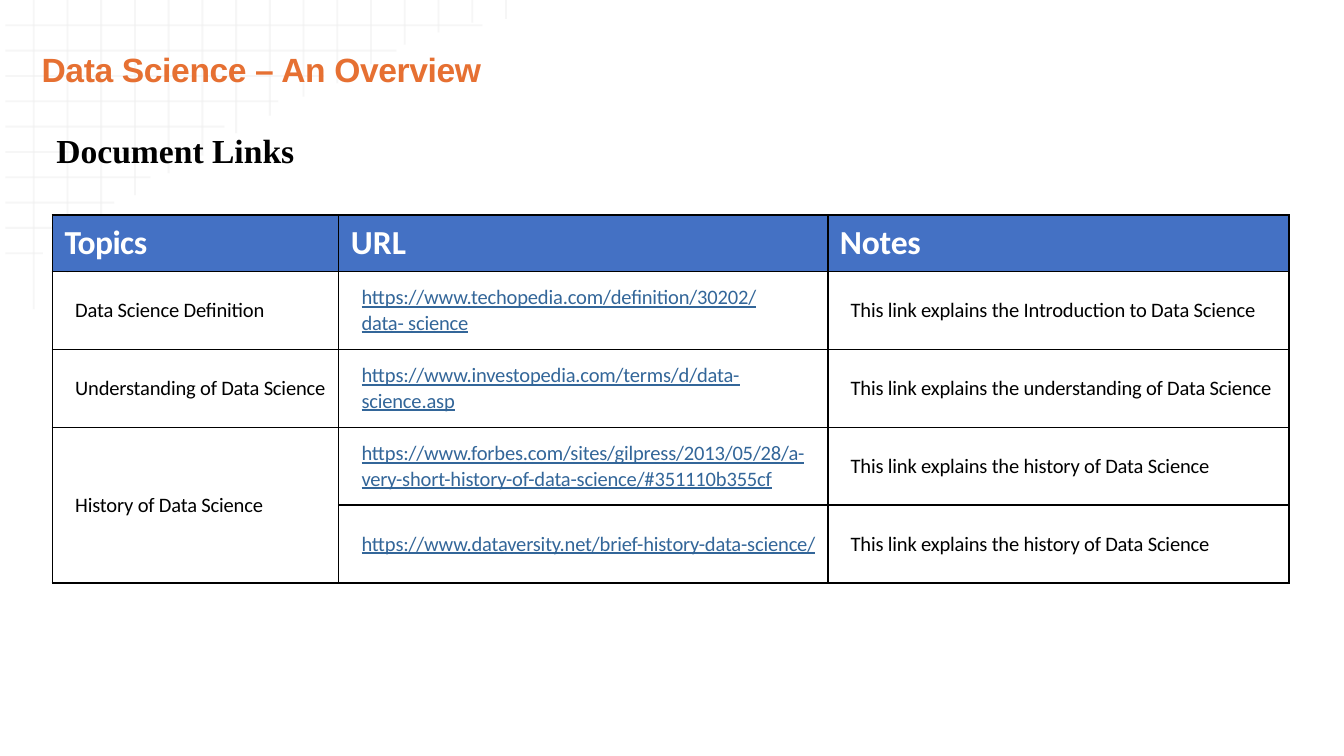
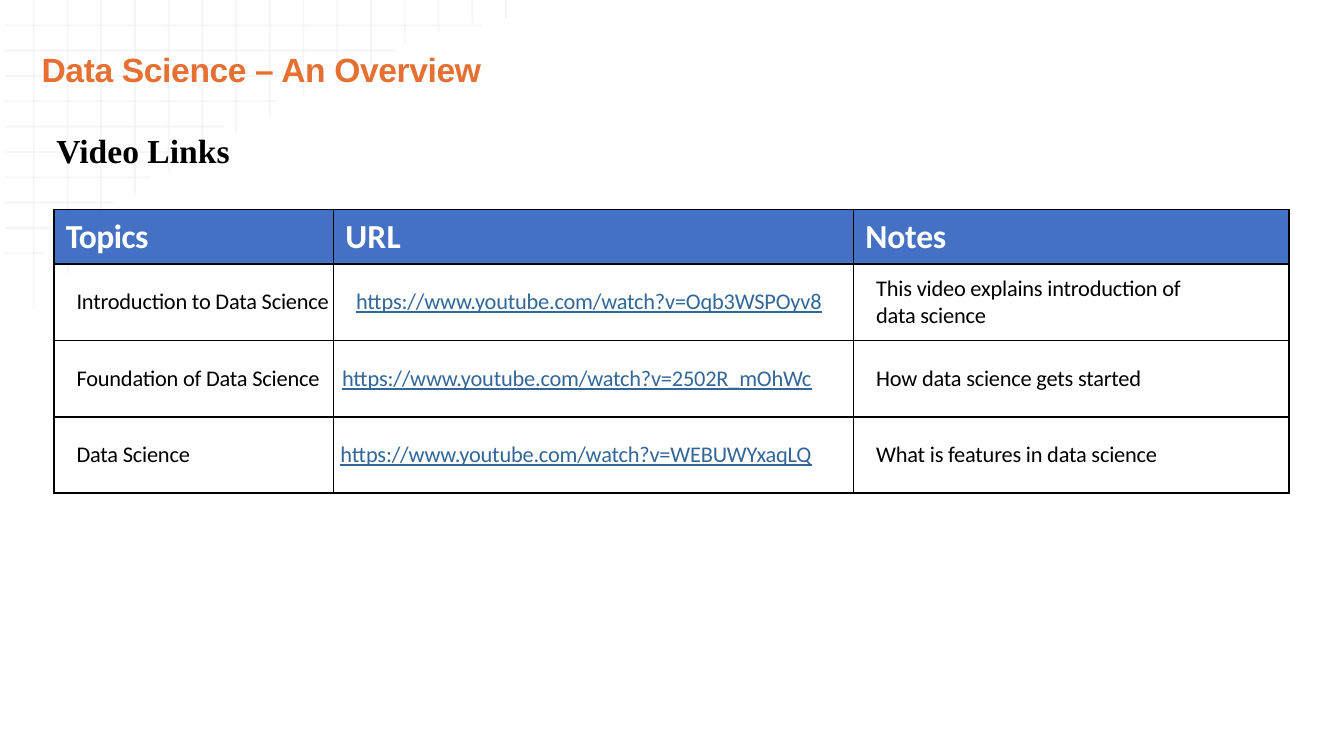
from lxml.etree import SubElement
from pptx import Presentation
from pptx.dml.color import RGBColor
from pptx.enum.shapes import MSO_CONNECTOR as Connector
from pptx.enum.text import MSO_ANCHOR as Anchor, PP_ALIGN as Align
from pptx.oxml.ns import qn
from pptx.util import Inches, Pt

ORANGE, BLUE, LINK = "E67032", "4471C4", "336699"
BLACK, WHITE, GRID = "000000", "FFFFFF", "EFEFEF"


def paint(color_format, value, alpha=None):
    color_format.rgb = RGBColor.from_string(value)
    return value


def write(frame, text, color, spacing, align=Align.LEFT, **font):
    for number, words in enumerate(text.split("\n")):
        para = frame.add_paragraph() if number else frame.paragraphs[0]
        para.alignment = align
        span = para.add_run()
        span.text = words
        for name, value in font.items():
            setattr(span.font, name, value)
        paint(span.font.color, color)
        span.font._element.set("spc", str(spacing))


deck = Presentation()
deck.slide_width, deck.slide_height = Inches(10), Inches(5.625)
WIDE, TALL = deck.slide_width / 100, deck.slide_height / 100

COLUMN, ROW = 2.51, 3.35
across_ends = [35.9, 29.5, 24.1, 20.7, 16.7, 13.7, 11.2, 8.5, 6.2, 3.2]
down_ends = [40.9, 36.1, 29.5, 25.8, 22.9, 20.6, 17.6, 15.3,
             12.8, 11, 8.5, 5.9, 4.3, 3, 2.5]
grid_lines = [(0.4, ROW * n, end, ROW * n) for n, end in enumerate(across_ends, 1)]
grid_lines += [(COLUMN * n, end, COLUMN * n, 0) for n, end in enumerate(down_ends, 1)]

LEFT, RIGHT = Align.LEFT, Align.RIGHT
header = ["Topics", "URL", "Notes"]
pages = [
    dict(
        heading="Document Links", heading_width=18.5,
        left=3.9, top=28.44, columns=[21.3, 36.4, 34.3], rows=[7.47] + [10.31] * 4,
        size=11, merges=[(3, 4, 0)], right_margins={(1, 1): 4}, aligned_right=[],
        body=[
            ["Data Science Definition",
             "https://www.techopedia.com/definition/30202/data- science",
             "This link explains the Introduction to Data Science"],
            ["Understanding of Data Science",
             "https://www.investopedia.com/terms/d/data-\nscience.asp",
             "This link explains the understanding of Data Science"],
            ["History of Data Science",
             "https://www.forbes.com/sites/gilpress/2013/05/28/a- "
             "very-short-history-of-data-science/#351110b355cf",
             "This link explains the history of Data Science"],
            ["",
             "https://www.dataversity.net/brief-history-data-science/",
             "This link explains the history of Data Science"],
        ],
    ),
    dict(
        heading="Video Links", heading_width=13.5,
        left=4, top=27.73, columns=[20.8, 38.7, 32.4], rows=[7.2] + [10.1] * 3,
        size=12, merges=[], right_margins={(1, 2): 6, (2, 1): 3.1, (3, 1): 3.1},
        aligned_right=[(2, 1), (3, 1)],
        body=[
            ["Introduction to Data Science",
             "https://www.youtube.com/watch?v=Oqb3WSPOyv8",
             "This video explains introduction of data science"],
            ["Foundation of Data Science",
             "https://www.youtube.com/watch?v=2502R_mOhWc",
             "How data science gets started"],
            ["Data Science",
             "https://www.youtube.com/watch?v=WEBUWYxaqLQ",
             "What is features in data science"],
        ],
    ),
]

for content in pages:
    page = deck.slides.add_slide(deck.slide_layouts[6])
    paint(page.background.fill.solid() or page.background.fill.fore_color, WHITE)

    for x1, y1, x2, y2 in grid_lines:
        line = page.shapes.add_connector(
            Connector.STRAIGHT, int(x1 * WIDE), int(y1 * TALL), int(x2 * WIDE), int(y2 * TALL))
        line.line.width = Pt(1)
        paint(line.line.color, GRID)
        properties = line._element.spPr
        SubElement(properties.find(".//" + qn("a:srgbClr")), qn("a:alpha"), val="54000")
        SubElement(properties, qn("a:effectLst"))

    for text, left, top, width, height, anchor, font, color, spacing in [
        ("Data Science – An Overview", 3, 6.04, 34, 5.87, Anchor.MIDDLE, "Arial", ORANGE, -20),
        (content["heading"], 4.1, 16.89, content["heading_width"], 5.51,
         Anchor.TOP, "Times New Roman", BLACK, 0),
    ]:
        box = page.shapes.add_textbox(
            int(left * WIDE), int(top * TALL), int(width * WIDE), int(height * TALL))
        frame = box.text_frame
        layout = dict(word_wrap=True, vertical_anchor=anchor, margin_left=Inches(0.01),
                      margin_right=0, margin_top=Inches(0.02), margin_bottom=0)
        for name, value in layout.items():
            setattr(frame, name, value)
        write(frame, text, color, spacing, name=font, size=Pt(18), bold=True)

    columns, rows = content["columns"], content["rows"]
    holder = page.shapes.add_table(
        len(rows), len(columns), int(content["left"] * WIDE), int(content["top"] * TALL),
        int(sum(columns) * WIDE), int(sum(rows) * TALL))
    holder._element.find(".//" + qn("a:tableStyleId")).text = "{2D5ABB26-0587-4C30-8999-92F81FD0307C}"
    table = holder.table
    table.horz_banding = False
    for column, width in zip(table.columns, columns):
        column.width = int(width * WIDE)
    for row, height in zip(table.rows, rows):
        row.height = int(height * TALL)
    for first, last, column in content["merges"]:
        table.cell(first, column).merge(table.cell(last, column))

    for r, texts in enumerate([header] + content["body"]):
        for c, text in enumerate(texts):
            cell = table.cell(r, c)
            place = (r, c)
            flush = place in content["aligned_right"]
            indent = 0 if flush else 1.7 if r else 0.9
            layout = dict(vertical_anchor=Anchor.MIDDLE, margin_left=int(indent * WIDE),
                          margin_right=int(content["right_margins"].get(place, 0) * WIDE),
                          margin_top=0, margin_bottom=0)
            for name, value in layout.items():
                setattr(cell, name, value)
            for side in ("lnL", "lnR", "lnT", "lnB"):
                border = SubElement(cell._tc.get_or_add_tcPr(), qn("a:" + side), w=str(Pt(1)))
                SubElement(SubElement(border, qn("a:solidFill")), qn("a:srgbClr"), val=BLACK)
            if r == 0:
                cell.fill.solid()
                paint(cell.fill.fore_color, BLUE)
                write(cell.text_frame, text, WHITE, (-30, 10, -10)[c],
                      name="Calibri", size=Pt(18), bold=True)
            else:
                cell.fill.background()
                if text:
                    write(cell.text_frame, text, LINK if c == 1 else BLACK, -10,
                          RIGHT if flush else LEFT, name="Calibri",
                          size=Pt(content["size"]), bold=False, underline=c == 1)

deck.save("out.pptx")
